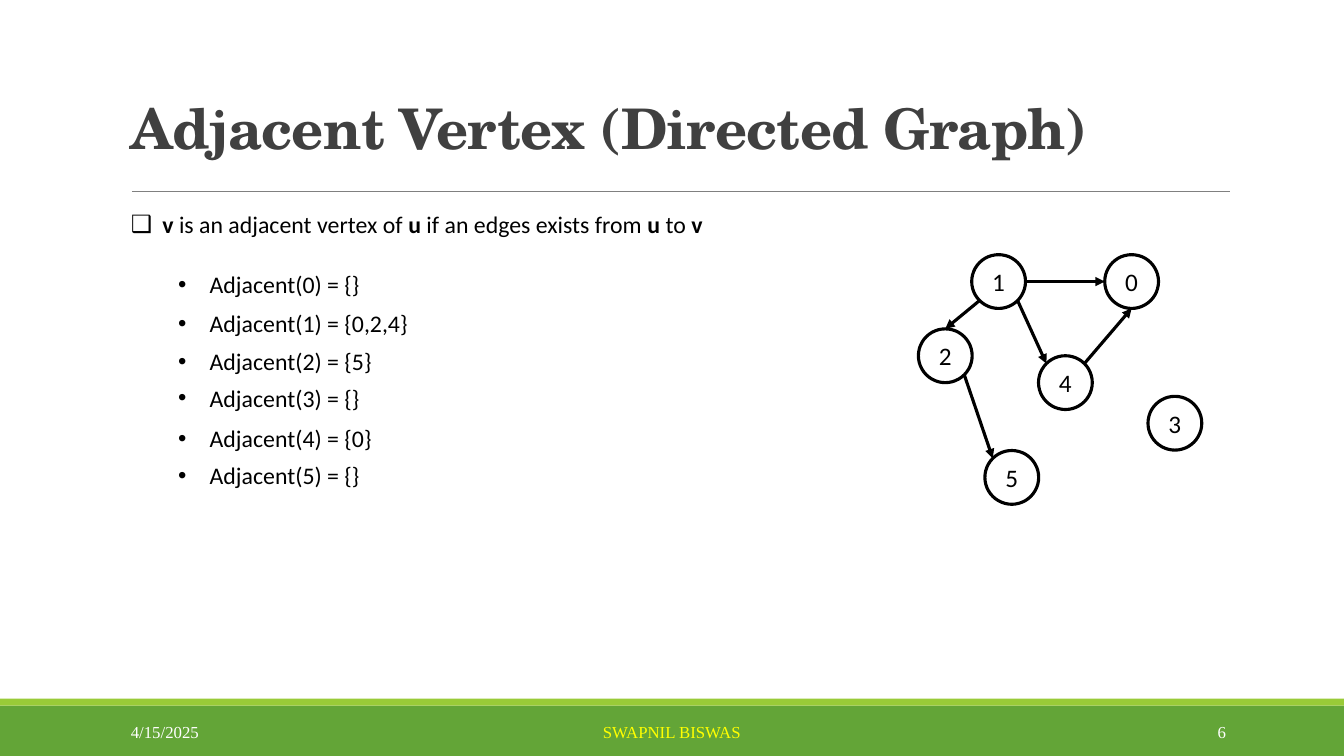
from pptx import Presentation
from pptx.dml.color import RGBColor
from pptx.enum import shapes, text
from pptx.oxml.ns import qn
from pptx.util import Pt
from lxml import etree

BLACK = RGBColor(0, 0, 0)
WHITE = RGBColor(255, 255, 255)
YELLOW = RGBColor(255, 255, 0)
CHARCOAL = RGBColor(0x40, 0x40, 0x40)
GRAY = RGBColor(0x80, 0x80, 0x80)
GREEN = RGBColor(0x63, 0xA5, 0x37)
LIME = RGBColor(0x99, 0xCB, 0x38)

LEFT, CENTER, RIGHT = text.PP_ALIGN.LEFT, text.PP_ALIGN.CENTER, text.PP_ALIGN.RIGHT
TOP, MIDDLE, BOTTOM = text.MSO_ANCHOR.TOP, text.MSO_ANCHOR.MIDDLE, text.MSO_ANCHOR.BOTTOM

DIAMETER = 38.4
DIAGONAL = 0.5 ** 0.5
UP, DOWN, WEST, EAST = (0, -1), (0, 1), (-1, 0), (1, 0)
UP_LEFT, UP_RIGHT = (-DIAGONAL, -DIAGONAL), (DIAGONAL, -DIAGONAL)
DOWN_LEFT, DOWN_RIGHT = (-DIAGONAL, DIAGONAL), (DIAGONAL, DIAGONAL)

VERTICES = {
    "0": (808.3, 201.1), "1": (713.3, 201.1), "2": (675.2, 254.1),
    "3": (839.2, 302.3), "4": (761, 273.3), "5": (722.7, 341),
}
EDGES = [
    ("1", DOWN_LEFT, "2", UP),
    ("1", EAST, "0", WEST),
    ("1", DOWN_RIGHT, "4", UP_LEFT),
    ("4", UP_RIGHT, "0", DOWN),
    ("2", DOWN_RIGHT, "5", UP_LEFT),
]
ADJACENCY = [
    ("Adjacent(0) = {}", 189.4),
    ("Adjacent(1) = {0,2,4}", 216.9),
    ("Adjacent(2) = {5}", 244),
    ("Adjacent(3) = {}", 270.2),
    ("Adjacent(4) = {0}", 299.3),
    ("Adjacent(5) = {}", 325.8),
]
DEFINITION = [
    ("v", True), (" is an adjacent vertex of ", False), ("u", True),
    (" if an edges exists from ", False), ("u", True), (" to ", False), ("v", True),
]


class Painter:
    body_font = "Calibri"
    title_font = "TeX Gyre Schola"
    footer_font = "Times New Roman"
    indent = 22.5

    def __init__(self, page):
        self.page = page

    def add_spans(self, para, spans, size, font, color, spacing=None):
        for words, bold in spans:
            span = para.add_run()
            span.text = words
            span.font.size = Pt(size)
            span.font.name = font
            span.font.bold = bold
            span.font.color.rgb = color
            if spacing is not None:
                span._r.get_or_add_rPr().set("spc", str(round(spacing * 100)))

    def label(self, place, spans, size, font, color, align=LEFT, anchor=TOP,
              bullet=None, line_spacing=None, spacing=None):
        box = self.page.shapes.add_textbox(*map(Pt, place))
        frame = box.text_frame
        frame.word_wrap = True
        frame.vertical_anchor = anchor
        para = frame.paragraphs[0]
        para.alignment = align
        if line_spacing:
            para.line_spacing = line_spacing
        if bullet:
            props = para._p.get_or_add_pPr()
            props.set("marL", str(Pt(self.indent)))
            props.set("indent", str(Pt(-self.indent)))
            etree.SubElement(props, qn("a:buFont"), typeface="Arial")
            etree.SubElement(props, qn("a:buChar"), char=bullet)
        self.add_spans(para, spans, size, font, color, spacing)

    def bar(self, top, height, color):
        bar = self.page.shapes.add_shape(
            shapes.MSO_SHAPE.RECTANGLE, 0, Pt(top), Pt(960), Pt(height))
        bar.shadow.inherit = False
        bar.fill.solid()
        bar.fill.fore_color.rgb = color
        bar.line.fill.background()

    def vertex(self, name, center):
        x, y = center
        circle = self.page.shapes.add_shape(
            shapes.MSO_SHAPE.OVAL, Pt(x - DIAMETER / 2), Pt(y - DIAMETER / 2),
            Pt(DIAMETER), Pt(DIAMETER))
        circle.shadow.inherit = False
        circle.fill.background()
        circle.line.color.rgb = BLACK
        circle.line.width = Pt(2.25)
        frame = circle.text_frame
        frame.margin_left = frame.margin_right = 0
        frame.margin_top = frame.margin_bottom = 0
        frame.vertical_anchor = MIDDLE
        para = frame.paragraphs[0]
        para.alignment = CENTER
        self.add_spans(para, [(name, False)], 18, self.body_font, BLACK)

    def line(self, start, end, color, width, arrow=False):
        line = self.page.shapes.add_connector(
            shapes.MSO_CONNECTOR.STRAIGHT, *map(Pt, (*start, *end)))
        line.line.color.rgb = color
        line.line.width = Pt(width)
        if arrow:
            etree.SubElement(line.get_or_add_ln(), qn("a:tailEnd"), type="triangle")
        etree.SubElement(line._element.spPr, qn("a:effectLst"))


def rim(name, direction):
    return [middle + DIAMETER / 2 * step for middle, step in zip(VERTICES[name], direction)]


def main():
    deck = Presentation()
    deck.slide_width, deck.slide_height = Pt(960), Pt(540)
    painter = Painter(deck.slides.add_slide(deck.slide_layouts[6]))

    painter.bar(504, 36, GREEN)
    painter.bar(499, 5, LIME)
    painter.line((94.3, 136.6), (878.8, 136.6), GRAY, 0.5)
    painter.label((86.4, 4.3, 792, 114.5), [("Adjacent Vertex (Directed Graph)", True)],
                  40, painter.title_font, CHARCOAL, anchor=BOTTOM,
                  line_spacing=0.85, spacing=-0.5)

    painter.label((86.4, 146.2, 450, 28), DEFINITION, 17, painter.body_font, BLACK, bullet="❑")
    for words, top in ADJACENCY:
        painter.label((120.2, top, 184, 28), [(words, False)], 17,
                      painter.body_font, BLACK, bullet="•")

    for name, center in VERTICES.items():
        painter.vertex(name, center)
    for source, leaving, target, entering in EDGES:
        painter.line(rim(source, leaving), rim(target, entering), BLACK, 2.25, arrow=True)

    for words, left, width, color, align in [
        ("4/15/2025", 86.4, 194.4, WHITE, LEFT),
        ("SWAPNIL BISWAS", 290.2, 379.4, YELLOW, CENTER),
        ("6", 779.8, 103, WHITE, RIGHT),
    ]:
        painter.label((left, 508.3, width, 28.8), [(words, False)], 12,
                      painter.footer_font, color, align, MIDDLE)

    deck.save("out.pptx")


if __name__ == "__main__":
    main()
